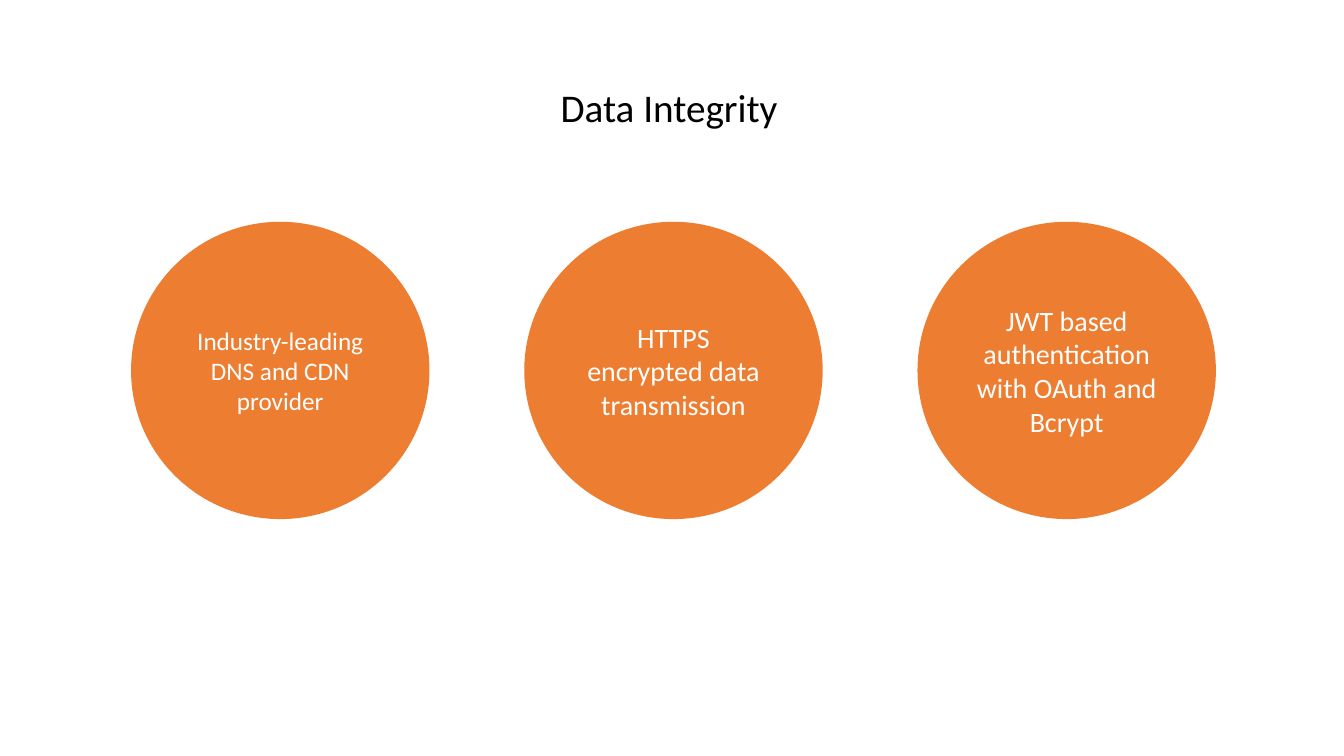
import pptx
import pptx.util
import pptx.dml.color
import pptx.enum.shapes
import pptx.enum.text
from pptx.util import Inches


def color(hex_value):
    return pptx.dml.color.RGBColor.from_string(hex_value)


def write(shape, text, size, fill, align, anchor):
    frame = shape.text_frame
    frame.word_wrap = True
    frame.auto_size = pptx.enum.text.MSO_AUTO_SIZE.NONE
    frame.vertical_anchor = anchor
    paragraph = frame.paragraphs[0]
    paragraph.alignment = align
    run = paragraph.add_run()
    run.text = text
    run.font.name = "Calibri"
    run.font.size = pptx.util.Pt(size)
    run.font.color.rgb = color(fill)


align = pptx.enum.text.PP_ALIGN
anchor = pptx.enum.text.MSO_ANCHOR

deck = pptx.Presentation()
deck.slide_width = Inches(13.33)
deck.slide_height = Inches(7.5)
slide = deck.slides.add_slide(deck.slide_layouts[5])

heading = slide.shapes.title
heading.left, heading.top = Inches(5.46), Inches(0.78)
heading.width, heading.height = Inches(2.44), Inches(0.57)
write(heading, "Data Integrity", size=28, fill="000000",
      align=align.LEFT, anchor=anchor.TOP)

safeguards = [
    ("Industry-leading DNS and CDN provider", 18),
    ("HTTPS encrypted data transmission", 20),
    ("JWT based authentication with OAuth and Bcrypt", 20),
]
for index, (safeguard, size) in enumerate(safeguards):
    circle = slide.shapes.add_shape(
        pptx.enum.shapes.MSO_SHAPE.FLOWCHART_CONNECTOR,
        Inches(1.3 + 3.9 * index), Inches(2.2), Inches(2.96), Inches(2.95))
    circle.shadow.inherit = False
    circle.fill.solid()
    circle.fill.fore_color.rgb = color("ED7D31")
    circle.line.fill.background()
    write(circle, safeguard, size=size, fill="FFFFFF",
          align=align.CENTER, anchor=anchor.MIDDLE)

deck.save("out.pptx")
